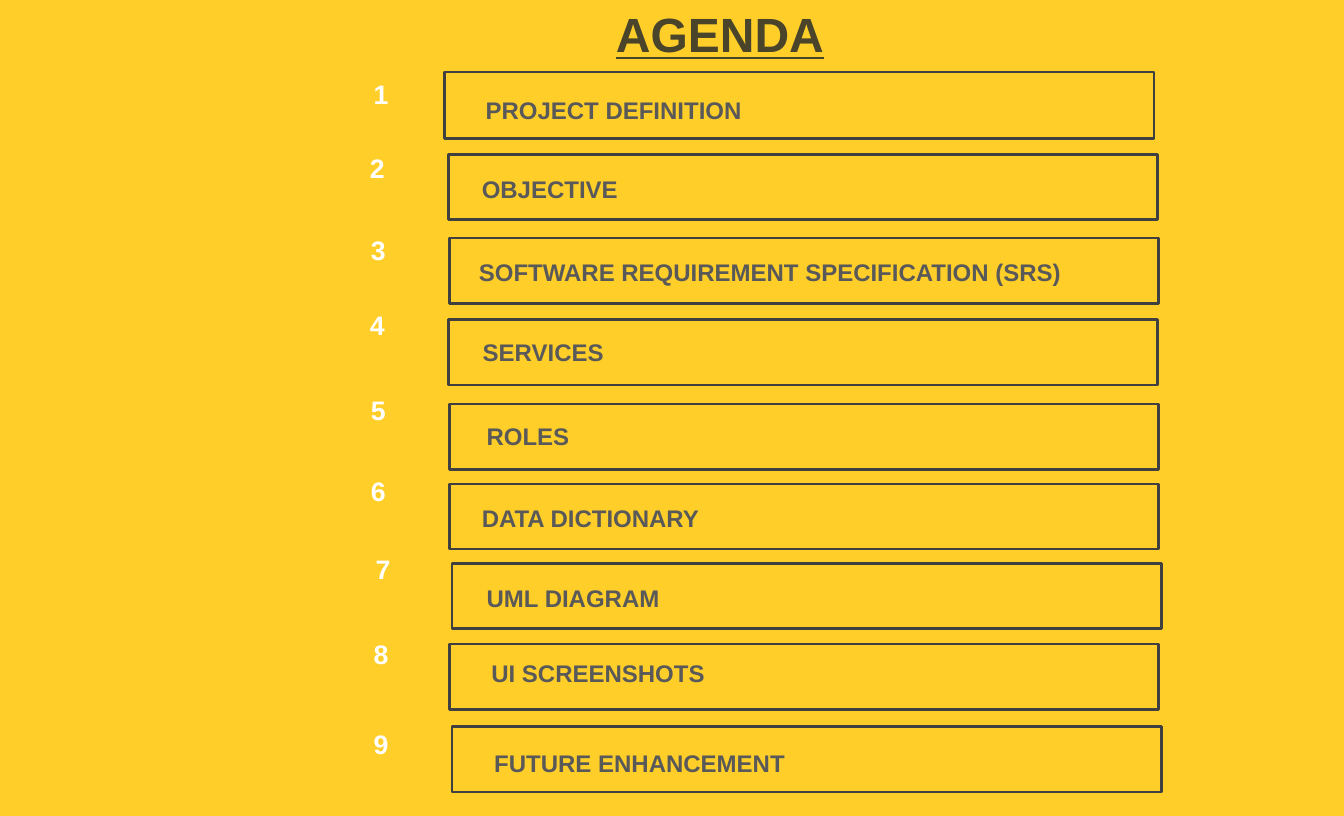
"""Build a numbered agenda slide with nine outlined topic bars."""
import pptx
import pptx.dml.color
import pptx.enum.shapes
import pptx.enum.text
import pptx.util

COLORS = {"back": "FFCE29", "title": "4A452A", "topic": "595959", "number": "FFFFFF", "bar": "404040"}
SHAPE = pptx.enum.shapes.MSO_SHAPE
ANCHOR = pptx.enum.text.MSO_ANCHOR
ALIGN = pptx.enum.text.PP_ALIGN
FIT = pptx.enum.text.MSO_AUTO_SIZE
FORMATS = {
    "title": {"size": pptx.util.Pt(36), "name": "Arial", "bold": True, "underline": True},
    "topic": {"size": pptx.util.Pt(18), "name": "Arial", "bold": True},
    "number": {"size": pptx.util.Pt(20), "name": "Arial", "bold": True},
}

prs = pptx.Presentation()
prs.slide_width, prs.slide_height = pptx.util.Inches(14), pptx.util.Inches(8.5)
COL, ROW = prs.slide_width / 140, prs.slide_height / 85
s = prs.slides.add_slide(prs.slide_layouts[6])
s.background.fill.solid()
s.background.fill.fore_color.rgb = pptx.dml.color.RGBColor.from_string(COLORS["back"])


def add_box(kind, left, top, width, height):
    box = [round(left * COL), round(top * ROW), round(width * COL), round(height * ROW)]
    if kind is None:
        return s.shapes.add_textbox(*box)
    sp = s.shapes.add_shape(kind, *box)
    sp.shadow.inherit = False
    sp.fill.background()
    sp.line.fill.background()
    return sp


def write(sp, text, role, align, anchor, fit):
    tf = sp.text_frame
    for key, value in {"word_wrap": True, "auto_size": fit, "vertical_anchor": anchor}.items():
        setattr(tf, key, value)
    p = tf.paragraphs[0]
    p.alignment = align
    r = p.add_run()
    r.text = text
    for key, value in FORMATS[role].items():
        setattr(r.font, key, value)
    r.font.color.rgb = pptx.dml.color.RGBColor.from_string(COLORS[role])


write(add_box(None, 5, -2.5, 140, 9.5), "AGENDA", "title", ALIGN.CENTER, ANCHOR.BOTTOM, FIT.NONE)

TOPICS = [
    ("PROJECT DEFINITION", (46.3, 7.5), (49.4, 9.2), (36, 7.6)),
    ("OBJECTIVE", (46.7, 16.1), (49, 17.5), (35.6, 15.3)),
    ("SOFTWARE REQUIREMENT SPECIFICATION (SRS)", (46.8, 24.8), (48.7, 26.2), (35.7, 23.9)),
    ("SERVICES", (46.7, 33.3), (49.1, 34.5), (35.6, 31.7)),
    ("ROLES", (46.8, 42.1), (49.5, 43.3), (35.7, 40.5)),
    ("DATA DICTIONARY", (46.8, 50.4), (49, 51.8), (35.7, 49)),
    ("UML DIAGRAM", (47.1, 58.7), (49.5, 60.1), (36.2, 57.1)),
    ("UI SCREENSHOTS", (46.8, 67.1), (50, 68), (36, 65.9)),
    ("FUTURE ENHANCEMENT", (47.1, 75.7), (50.3, 77.3), (36, 75.3)),
]
for i, (topic, bar_at, topic_at, number_at) in enumerate(TOPICS, 1):
    first = i == 1
    bar = add_box(SHAPE.RECTANGLE, *bar_at, 73.9, 6.9 if first else 6.8)
    bar.line.color.rgb = pptx.dml.color.RGBColor.from_string(COLORS["bar"])
    bar.line.width = pptx.util.Pt(2)
    label = add_box(SHAPE.ROUND_2_SAME_RECTANGLE, *topic_at, 68, 4.2)
    label.rotation = 0 if first else 0.1
    write(label, topic, "topic", ALIGN.LEFT, ANCHOR.BOTTOM if first else ANCHOR.TOP, FIT.SHAPE_TO_FIT_TEXT)
    number = add_box(None, *number_at, 7.4, 4.3)
    write(number, str(i), "number", ALIGN.CENTER, ANCHOR.TOP, FIT.SHAPE_TO_FIT_TEXT)

prs.save("out.pptx")
